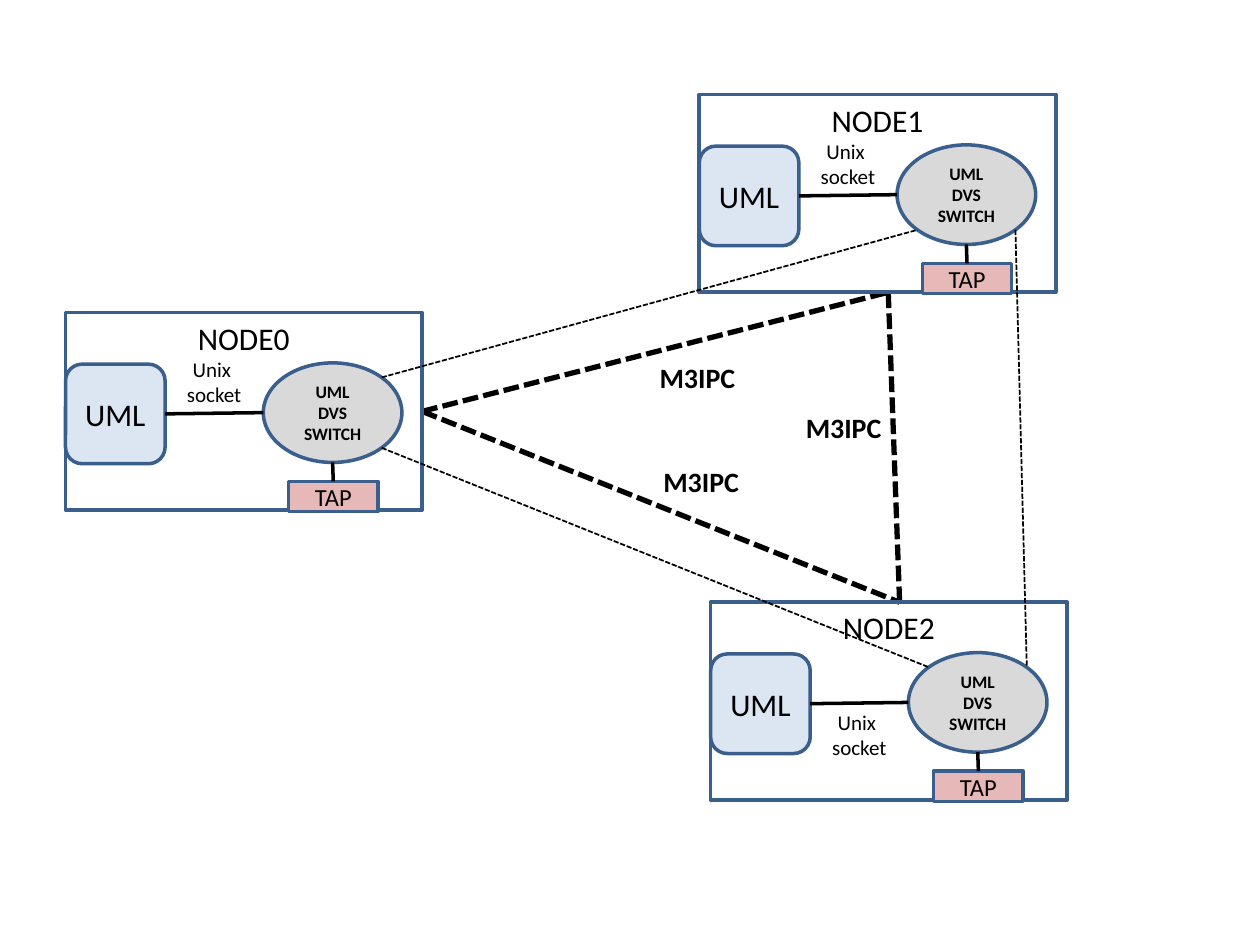
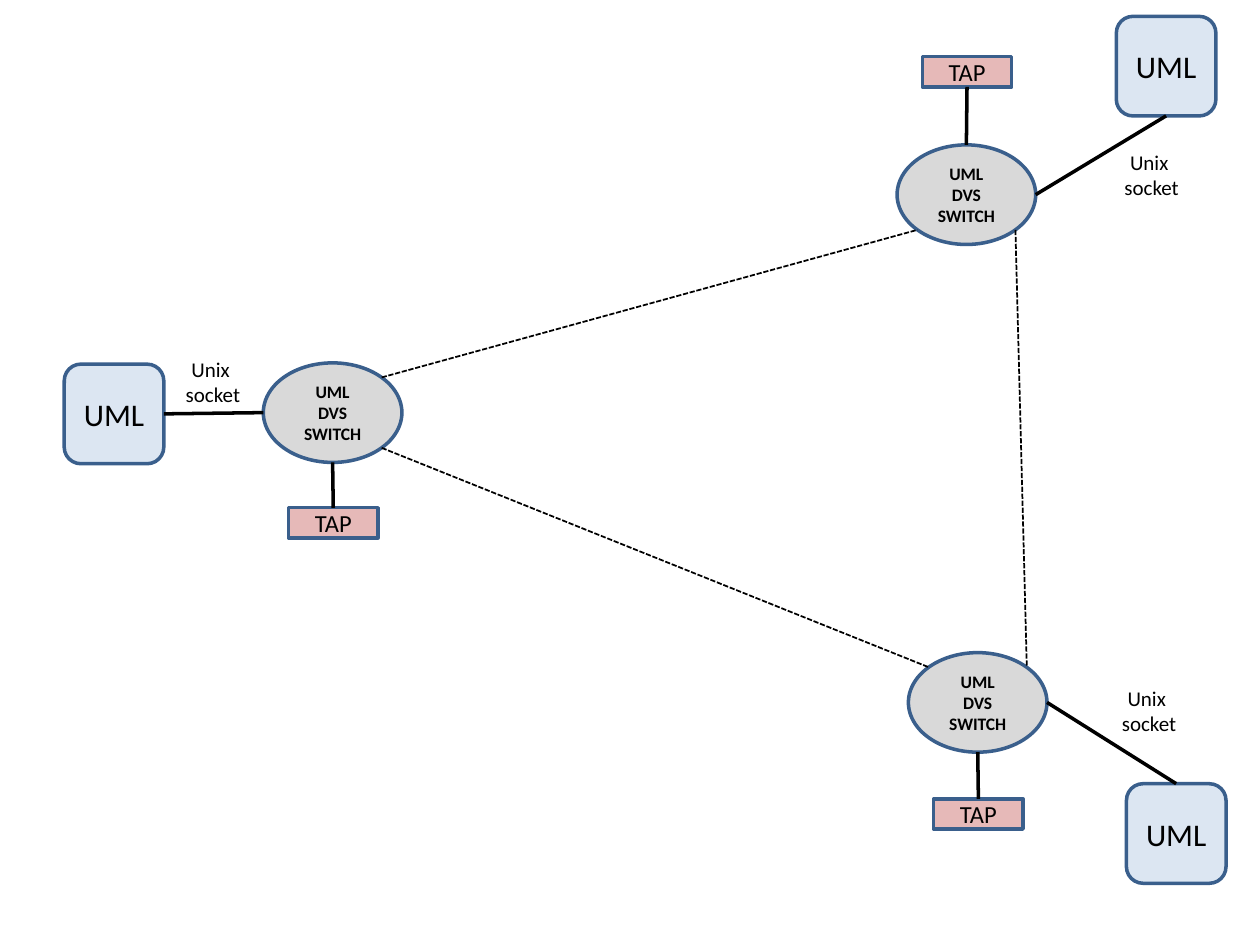
from dataclasses import dataclass
from itertools import combinations
from pptx import Presentation
from pptx.dml.color import RGBColor
from pptx.enum.dml import MSO_LINE_DASH_STYLE as Dash
from pptx.enum.shapes import MSO_CONNECTOR as Connector, MSO_SHAPE as Preset
from pptx.enum.text import MSO_ANCHOR as Anchor, MSO_AUTO_SIZE as AutoSize, PP_ALIGN as Align
from pptx.oxml import parse_xml
from pptx.oxml.ns import nsdecls
from pptx.util import Inches, Pt


@dataclass(frozen=True)
class Theme:
    font: str = "Calibri"
    ink: str = "000000"
    border: str = "3A5F8C"
    machine: str = "DCE6F2"
    switch: str = "D9D9D9"
    tap: str = "E6B9B8"
    title_size: int = 18
    channel_size: int = 16
    tap_size: int = 14
    label_size: int = 12
    switch_size: int = 10
    thin: int = 1
    medium: int = 2
    thick: int = 3


@dataclass(frozen=True)
class Box:
    left: float
    top: float
    width: float
    height: float

    def point(self, across, down):
        """Point at the given fractions of the width and the height."""
        return self.left + across * self.width, self.top + down * self.height

    def lengths(self):
        return [Inches(value) for value in (self.left, self.top, self.width, self.height)]


THEME = Theme()

# Sides and ellipse diagonals, as fractions of a box
TOP, BOTTOM, LEFT, RIGHT = (0.5, 0), (0.5, 1), (0, 0.5), (1, 0.5)
NEAR, FAR = 0.146, 0.854


def write(frame, text, size, bold=False, anchor=Anchor.MIDDLE):
    """Write centred lines of text, one paragraph a line."""
    frame.vertical_anchor = anchor
    for index, line in enumerate(text.split("\n")):
        paragraph = frame.paragraphs[0] if index == 0 else frame.add_paragraph()
        paragraph.alignment = Align.CENTER
        run = paragraph.add_run()
        run.text = line
        run.font.name = THEME.font
        run.font.size = Pt(size)
        run.font.bold = bold
        run.font.color.rgb = RGBColor.from_string(THEME.ink)


class Diagram:
    def __init__(self, presentation):
        self.presentation = presentation
        self.slide = None

    def new_slide(self):
        self.slide = self.presentation.slides.add_slide(self.presentation.slide_layouts[6])

    def block(self, preset, box, text, size, fill=None, **text_format):
        shape = self.slide.shapes.add_shape(preset, *box.lengths())
        shape.shadow.inherit = False
        if fill:
            shape.fill.solid()
            shape.fill.fore_color.rgb = RGBColor.from_string(fill)
        else:
            shape.fill.background()
        shape.line.color.rgb = RGBColor.from_string(THEME.border)
        shape.line.width = Pt(THEME.medium)
        frame = shape.text_frame
        frame.word_wrap = True
        frame.margin_left = frame.margin_right = 0
        write(frame, text, size, **text_format)

    def label(self, box, text, size, bold=False):
        frame = self.slide.shapes.add_textbox(*box.lengths()).text_frame
        frame.word_wrap = False
        frame.auto_size = AutoSize.SHAPE_TO_FIT_TEXT
        write(frame, text, size, bold, Anchor.TOP)

    def line(self, start, end, width, dash=None):
        ends = [Inches(value) for value in (*start, *end)]
        connector = self.slide.shapes.add_connector(Connector.STRAIGHT, *ends)
        connector.line.color.rgb = RGBColor.from_string(THEME.ink)
        connector.line.width = Pt(width)
        if dash:
            connector.line.dash_style = dash
        connector._element.spPr.append(parse_xml(f"<a:effectLst {nsdecls('a')}/>"))

    def node_frame(self, box, name):
        self.block(Preset.RECTANGLE, box, name, THEME.title_size, anchor=Anchor.TOP)

    def machine(self, switch, machine_at, machine_side, switch_side, tap_top, label_at):
        """A UML machine, its switch, its TAP and the lines joining them."""
        machine = Box(*machine_at, 0.79, 0.79)
        tap = Box(switch.left + 0.2, tap_top, 0.71, 0.24)
        self.block(Preset.ROUNDED_RECTANGLE, machine, "UML", THEME.title_size, THEME.machine)
        self.block(Preset.OVAL, switch, "UML\nDVS\nSWITCH", THEME.switch_size,
                   THEME.switch, bold=True)
        self.block(Preset.RECTANGLE, tap, "TAP", THEME.tap_size, THEME.tap)
        tap_below = tap_top > switch.top
        self.line(switch.point(*(BOTTOM if tap_below else TOP)),
                  tap.point(*(TOP if tap_below else BOTTOM)), THEME.medium)
        self.line(switch.point(*switch_side), machine.point(*machine_side), THEME.medium)
        self.label(Box(*label_at, 0.64, 0.5), "Unix \nsocket", THEME.label_size)

    def switch_links(self, first, second, third):
        """Thin dashed lines between the three switches."""
        for start, end in ((first.point(FAR, FAR), third.point(NEAR, NEAR)),
                           (first.point(FAR, NEAR), second.point(NEAR, FAR)),
                           (second.point(FAR, FAR), third.point(FAR, NEAR))):
            self.line(start, end, THEME.thin, Dash.SQUARE_DOT)


presentation = Presentation()
presentation.slide_width, presentation.slide_height = Inches(10), Inches(7.5)
diagram = Diagram(presentation)
switches = [Box(left, top, 1.1, 0.79) for left, top in ((2.09, 2.88), (7.12, 1.15), (7.21, 5.18))]

# Slide 1: machines inside nodes that talk over M3IPC
diagram.new_slide()
nodes = [Box(switch.left - 1.57, switch.top - 0.4, 2.83, 1.57) for switch in switches]
channel_ends = [nodes[0].point(*RIGHT), nodes[1].point(0.53, 1), nodes[2].point(0.53, 0)]
for start, end in combinations(channel_ends, 2):
    diagram.line(start, end, THEME.thick, Dash.SQUARE_DOT)
for index, (node, switch, label_drop) in enumerate(zip(nodes, switches, (0.3, 0.3, 0.8))):
    diagram.node_frame(node, f"NODE{index}")
    diagram.machine(switch, (node.left, node.top + 0.41), RIGHT, LEFT,
                    node.top + 1.34, (node.left + 0.86, node.top + label_drop))
for left, top in ((5.13, 2.81), (5.16, 3.64), (6.29, 3.21)):
    diagram.label(Box(left, top, 0.81, 0.37), "M3IPC", THEME.channel_size, bold=True)
diagram.switch_links(*switches)

# Slide 2: the same switches with machines and TAPs set apart
diagram.new_slide()
layouts = (
    ((0.51, 2.89), RIGHT, LEFT, 4.03, (1.37, 2.78)),
    ((8.86, 0.13), BOTTOM, RIGHT, 0.45, (8.82, 1.14)),
    ((8.94, 6.22), TOP, RIGHT, 6.34, (8.8, 5.39)),
)
for switch, layout in zip(switches, layouts):
    diagram.machine(switch, *layout)
diagram.switch_links(*switches)

presentation.save("out.pptx")
